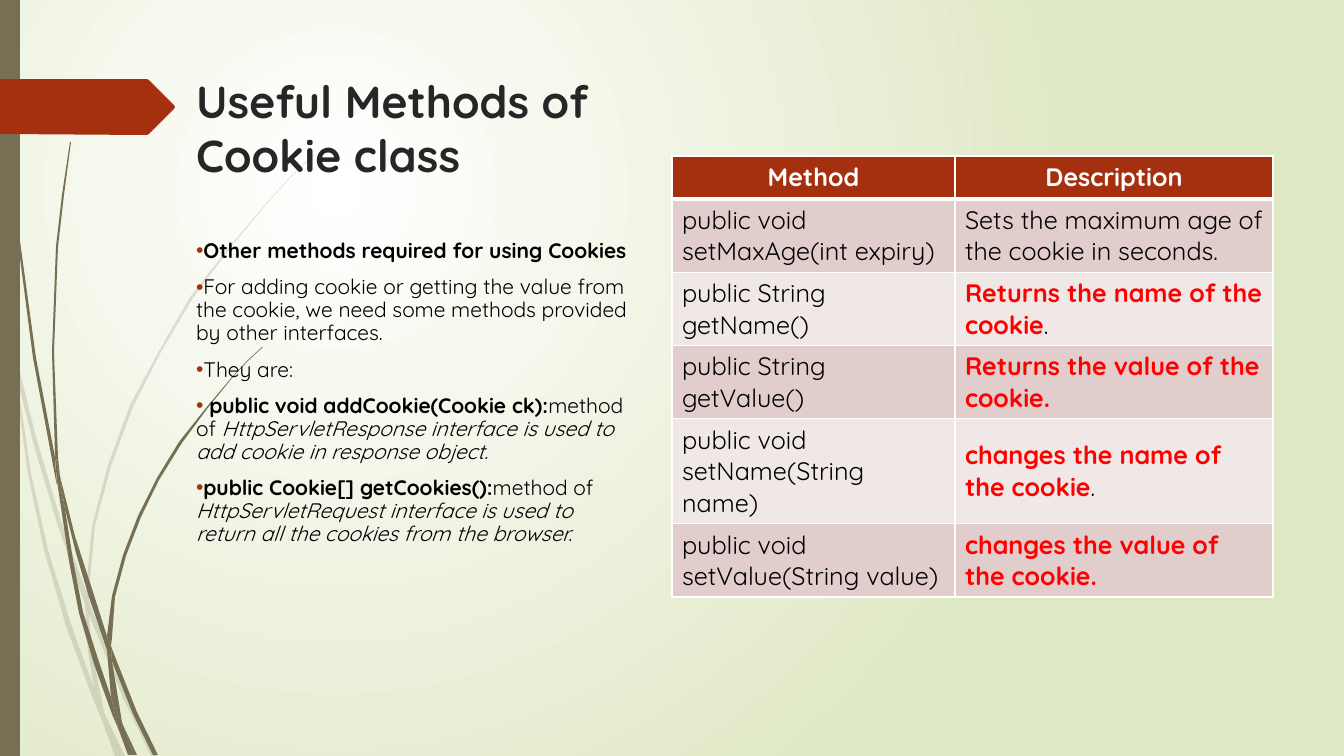
import lxml.etree
import pptx
import pptx.dml.color
import pptx.enum.shapes
import pptx.enum.text
import pptx.oxml
import pptx.oxml.ns
import pptx.util

PX = 914400 / 100.8
FONT = "Quicksand"
RGB = pptx.dml.color.RGBColor
OLIVE = RGB(0x76, 0x6F, 0x54)
RUST = RGB(0xA5, 0x30, 0x10)
CHARCOAL = RGB(0x26, 0x26, 0x26)
BLACK = RGB(0, 0, 0)
WHITE = RGB(255, 255, 255)
PALE_GREEN = RGB(0xDF, 0xE8, 0xC4)
RED = RGB(255, 0, 0)
BANDS = (RGB(0xE1, 0xCD, 0xCC), RGB(0xF0, 0xE8, 0xE7))
NAMESPACE = 'xmlns:a="http://schemas.openxmlformats.org/drawingml/2006/main"'

# Outlines of the grass pieces
FAINT_GRASS = [
    [(11, 353), (9, 325), (0, 284), (0, 301), (10, 347)],
    [(58, 526), (85, 604), (86, 591), (62, 524), (36, 437), (14, 348), (17, 379), (36, 453)],
    [(93, 612), (89, 601), (89, 615), (124, 700), (151, 756), (156, 756), (128, 698)],
    [(120, 756), (125, 756), (106, 717)],
    [(94, 688), (71, 624), (48, 550), (31, 473), (17, 379), (11, 353), (28, 474), (44, 550), (66, 626),
     (93, 699), (102, 720), (100, 713)],
    [(85, 604), (88, 651), (94, 688), (97, 698), (106, 717), (104, 712), (92, 651), (89, 615), (89, 613)],
    [(89, 589), (95, 526), (111, 466), (133, 407), (161, 352), (193, 298), (231, 247), (270, 200),
     (292, 176), (314, 155), (314, 154), (291, 176), (270, 199), (230, 246), (190, 297), (159, 351),
     (130, 405), (108, 465), (92, 526), (86, 589), (86, 591), (89, 601)],
    [(102, 720), (115, 756), (120, 756)],
    [(89, 613), (89, 615), (89, 601), (86, 591), (85, 604)],
    [(97, 698), (94, 688), (100, 713), (102, 720), (120, 756), (106, 717)],
]
DARK_GRASS = [
    [(7, 111), (17, 235), (33, 358), (56, 481), (57, 485), (55, 461), (55, 457), (36, 358), (19, 234),
     (8, 110), (5, 48), (4, 0), (3, 0), (4, 48)],
    [(89, 597), (107, 650), (107, 636), (94, 595), (75, 536), (60, 476), (65, 509), (76, 553)],
    [(114, 654), (111, 646), (112, 661), (133, 714), (153, 755), (158, 755), (137, 712)],
    [(111, 697), (99, 662), (83, 612), (73, 560), (65, 509), (57, 481), (69, 561), (79, 613), (94, 664),
     (112, 714), (118, 728), (117, 723)],
    [(60, 476), (58, 457), (54, 352), (58, 247), (64, 195), (71, 142), (70, 142), (62, 195), (56, 247),
     (52, 352), (55, 453)],
    [(134, 755), (137, 755), (123, 725)],
    [(57, 481), (65, 509), (60, 476), (55, 453), (55, 457)],
    [(112, 638), (115, 597), (126, 556), (141, 517), (159, 480), (182, 443), (207, 409), (233, 377),
     (247, 362), (263, 347), (262, 347), (247, 361), (233, 376), (206, 408), (179, 442), (157, 478),
     (138, 516), (123, 555), (112, 596), (107, 636), (111, 646)],
    [(118, 728), (128, 755), (132, 755)],
    [(107, 650), (111, 697), (117, 712), (123, 725), (122, 722), (112, 661), (110, 656)],
    [(107, 650), (110, 656), (112, 661), (111, 646), (107, 636)],
    [(117, 712), (111, 697), (117, 723), (118, 728), (131, 755), (134, 755), (123, 725)],
]

BULLETS = [
    [("Other methods required for using Cookies", {"bold": True})],
    [("For adding cookie or getting the value from the cookie, we need some methods provided by "
      "other interfaces.", {})],
    [("They are:", {})],
    [(" public void addCookie(Cookie ck):", {"bold": True}), ("method of ", {}),
     ("HttpServletResponse interface is used to add cookie in response object.", {"italic": True})],
    [("public Cookie[] getCookies():", {"bold": True}), ("method of ", {}),
     ("HttpServletRequest interface is used to return all the cookies from the browser.", {"italic": True})],
]

STRONG = {"bold": True, "color": RED}
HEADING = {"bold": True, "color": WHITE}
METHODS = [
    ([("Method", HEADING)], [("Description", HEADING)]),
    ([("public void setMaxAge(int expiry)", {})], [("Sets the maximum age of the cookie in seconds.", {})]),
    ([("public String getName()", {})], [("Returns the name of the cookie", STRONG), (".", {})]),
    ([("public String getValue()", {})], [("Returns the value of the cookie.", STRONG)]),
    ([("public void setName(String name)", {})], [("changes the name of the cookie", STRONG), (".", {})]),
    ([("public void setValue(String value)", {})], [("changes the value of the cookie.", STRONG)]),
]


def px(length):
    return pptx.util.Emu(round(length * PX))


def add_text(paragraph, text, size=18, color=BLACK, bold=False, italic=False):
    run = paragraph.add_run()
    run.text = text
    run.font.name, run.font.size = FONT, pptx.util.Pt(size)
    run.font.bold, run.font.italic = bold, italic
    run.font.color.rgb = color


def paint(shape, color):
    shape.shadow.inherit = False
    shape.fill.solid()
    shape.fill.fore_color.rgb = color
    shape.line.fill.background()


def add_grass(slide, outline, opacity):
    builder = slide.shapes.build_freeform(*outline[0], scale=PX)
    builder.add_line_segments(outline[1:], close=True)
    blade = builder.convert_to_shape()
    paint(blade, OLIVE)
    if opacity < 100:
        color = blade._element.spPr.find(".//" + pptx.oxml.ns.qn("a:srgbClr"))
        lxml.etree.SubElement(color, pptx.oxml.ns.qn("a:alpha"), val=str(opacity * 1000))


def add_backdrop(slide, height):
    # Radial background
    slide.background.fill.solid()
    solid = slide.background._cSld.find(".//" + pptx.oxml.ns.qn("a:solidFill"))
    solid.getparent().replace(solid, pptx.oxml.parse_xml(
        f'<a:gradFill {NAMESPACE} rotWithShape="1"><a:gsLst>'
        f'<a:gs pos="0"><a:srgbClr val="{WHITE}"/></a:gs>'
        f'<a:gs pos="100000"><a:srgbClr val="{PALE_GREEN}"/></a:gs></a:gsLst>'
        '<a:path path="circle"><a:fillToRect l="50000" t="50000" r="100000" b="100000"/></a:path>'
        '</a:gradFill>'))
    # Grass
    for outlines, opacity in ((FAINT_GRASS, 20), (DARK_GRASS, 100)):
        for outline in outlines:
            add_grass(slide, outline, opacity)
    # Side strip and arrow tab
    strip = slide.shapes.add_shape(pptx.enum.shapes.MSO_SHAPE.RECTANGLE, 0, 0, px(20), px(height))
    paint(strip, OLIVE)
    builder = slide.shapes.build_freeform(0, 79, scale=PX)
    builder.add_line_segments([(147, 79), (149, 80), (174, 105), (175, 107), (174, 109), (149, 134),
                               (147, 135), (0, 134)], close=True)
    paint(builder.convert_to_shape(), RUST)


def place(placeholder, left, top, width, height):
    placeholder.left, placeholder.top = px(left), px(top)
    placeholder.width, placeholder.height = px(width), px(height)
    frame = placeholder.text_frame
    frame.word_wrap = True
    frame.auto_size = pptx.enum.text.MSO_AUTO_SIZE.NONE
    frame.vertical_anchor = pptx.enum.text.MSO_ANCHOR.TOP
    return frame


def add_title(slide, *box):
    paragraph = place(slide.shapes.title, *box).paragraphs[0]
    paragraph.alignment = pptx.enum.text.PP_ALIGN.LEFT
    add_text(paragraph, "Useful Methods of Cookie class", size=32, color=CHARCOAL, bold=True)


def add_bullets(slide, *box):
    frame = place(slide.placeholders[1], *box)
    for index, runs in enumerate(BULLETS):
        paragraph = frame.add_paragraph() if index else frame.paragraphs[0]
        properties = paragraph._p.get_or_add_pPr()
        properties.set("marL", "0")
        properties.set("indent", "0")
        for xml in (f'<a:buClr {NAMESPACE}><a:srgbClr val="{RUST}"/></a:buClr>',
                    f'<a:buFont {NAMESPACE} typeface="Arial"/>', f'<a:buChar {NAMESPACE} char="•"/>'):
            properties.append(pptx.oxml.parse_xml(xml))
        paragraph.line_spacing = 0.9
        paragraph.space_before = pptx.util.Pt(10 if index else 0)
        for text, style in runs:
            add_text(paragraph, text, size=15, **style)


def set_borders(cell, **points):
    properties = cell._tc.get_or_add_tcPr()
    for index, side in enumerate("LRTB"):
        width = pptx.util.Pt(points.get(side, 1))
        properties.insert(index, pptx.oxml.parse_xml(
            f'<a:ln{side} {NAMESPACE} w="{width}"><a:solidFill><a:srgbClr val="{WHITE}"/></a:solidFill></a:ln{side}>'))


def add_method_table(slide, left, top, columns, header_height, row_height):
    height = header_height + row_height * (len(METHODS) - 1)
    table = slide.shapes.add_table(len(METHODS), len(columns), px(left), px(top),
                                   px(sum(columns)), px(height)).table
    for column, width in zip(table.columns, columns):
        column.width = px(width)
    for index, row in enumerate(METHODS):
        table.rows[index].height = px(row_height if index else header_height)
        for cell, runs in zip(table.rows[index].cells, row):
            cell.vertical_anchor = pptx.enum.text.MSO_ANCHOR.MIDDLE
            cell.fill.solid()
            cell.fill.fore_color.rgb = BANDS[(index - 1) % 2] if index else RUST
            set_borders(cell, T=3 if index == 1 else 1, B=1 if index else 3)
            paragraph = cell.text_frame.paragraphs[0]
            if index == 0:
                paragraph.alignment = pptx.enum.text.PP_ALIGN.CENTER
            for text, style in runs:
                add_text(paragraph, text, **style)


def main():
    presentation = pptx.Presentation()
    presentation.slide_width, presentation.slide_height = px(1344), px(756)
    slide = presentation.slides.add_slide(presentation.slide_layouts[1])
    add_backdrop(slide, 756)
    add_title(slide, 186, 69, 456, 141)
    add_bullets(slide, 186, 235, 456, 416)
    add_method_table(slide, 672, 156, columns=(283, 318), header_height=43, row_height=73)
    # Text stands in front of the grass
    for placeholder in list(slide.placeholders):
        slide.shapes._spTree.append(placeholder._element)
    presentation.save("out.pptx")


if __name__ == "__main__":
    main()
